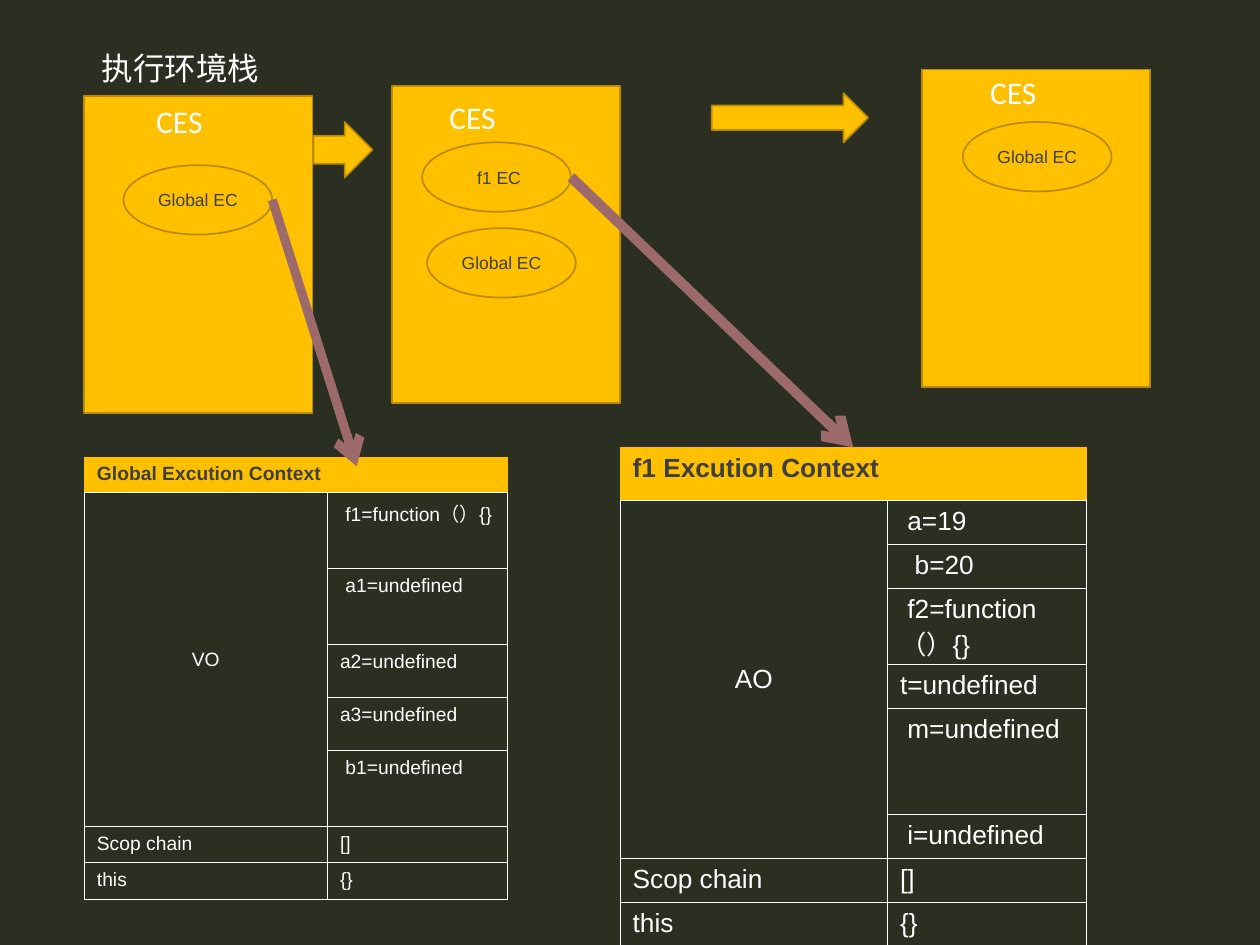
"""Build a slide showing how the execution context stack evolves."""
from dataclasses import dataclass

from lxml import etree
from pptx import Presentation
from pptx.dml.color import RGBColor
from pptx.enum.shapes import MSO_CONNECTOR, MSO_SHAPE
from pptx.enum.text import MSO_ANCHOR, PP_ALIGN
from pptx.oxml.ns import qn
from pptx.util import Cm, Pt

RECTANGLE, ELLIPSE, RIGHT_ARROW = MSO_SHAPE.RECTANGLE, MSO_SHAPE.OVAL, MSO_SHAPE.RIGHT_ARROW
STRAIGHT = MSO_CONNECTOR.STRAIGHT
LEFT, CENTER = PP_ALIGN.LEFT, PP_ALIGN.CENTER
TOP, MIDDLE = MSO_ANCHOR.TOP, MSO_ANCHOR.MIDDLE

BACKGROUND = RGBColor(0x2A, 0x2F, 0x21)
AMBER = RGBColor(0xFF, 0xC0, 0x00)
DARK_AMBER = RGBColor(0xBC, 0x8C, 0x00)
MAUVE = RGBColor(0x9C, 0x6A, 0x6A)
WHITE = RGBColor(0xFF, 0xFF, 0xFF)
CHARCOAL = RGBColor(0x3F, 0x3F, 0x3F)

STACK_SIZE = (4.6, 6.4)
CONTEXT_SIZE = (3, 1.4)
SPACE_WIDTH = 0.28


@dataclass
class Context:
    name: str
    x: float
    y: float
    indent: float = 0


@dataclass
class Stack:
    x: float
    y: float
    title_x: float
    title_y: float
    contexts: list[Context]


@dataclass
class Variable:
    text: str
    height: float
    spaces: int = 1


@dataclass
class ContextTable:
    title: str
    scope: str
    x: float
    y: float
    widths: tuple[float, float]
    header_height: float
    footer_height: float
    font_size: float
    variables: list[Variable]


@dataclass
class Link:
    source: Context
    end_x: float
    end_y: float
    width: float


GLOBAL_CONTEXT = Context("Global EC", 2.49, 3.33)
F1_CONTEXT = Context("f1 EC", 8.51, 2.87, 2.8)
STACKS = [
    Stack(1.7, 1.93, 2.9, 1.93, [GLOBAL_CONTEXT]),
    Stack(7.9, 1.73, 8.81, 1.85, [Context("Global EC", 8.61, 4.6), F1_CONTEXT]),
    Stack(18.59, 1.4, 19.71, 1.35, [Context("Global EC", 19.41, 2.46)]),
]
STEPS = [(6.32, 2.46, 1.19, 1.12), (14.35, 1.88, 3.15, 0.99)]
TABLES = [
    ContextTable("Global Excution Context", "VO", 1.7, 9.21, (4.9, 3.63), 0.72, 0.73, 11, [
        Variable("f1=function（）{}", 1.53),
        Variable("a1=undefined", 1.53),
        Variable("a2=undefined", 1.07, 0),
        Variable("a3=undefined", 1.07, 0),
        Variable("b1=undefined", 1.53),
    ]),
    ContextTable("f1 Excution Context", "AO", 12.5, 9.02, (5.39, 4.01), 1.07, 0.89, 15, [
        Variable("a=19", 0.89),
        Variable("b=20", 0.89, 2),
        Variable("f2=function（）{}", 1.5),
        Variable("t=undefined", 0.89, 0),
        Variable("m=undefined", 2.13),
        Variable("i=undefined", 0.89),
    ]),
]
LINKS = [Link(GLOBAL_CONTEXT, 7.19, 9.4, 5.25), Link(F1_CONTEXT, 17.2, 9.02, 5.75)]


def write(frame, text: str, *, size: float, color: RGBColor = WHITE, font: str = "Arial",
          bold: bool = False, align=LEFT, indent: float = 0) -> None:
    """Write one formatted paragraph, with its first-line indent in points."""
    frame.word_wrap = True
    paragraph = frame.paragraphs[0]
    paragraph.alignment = align
    if indent:
        paragraph._p.get_or_add_pPr().set("indent", str(int(Pt(indent))))
    run = paragraph.add_run()
    run.text = text
    run.font.name, run.font.size, run.font.bold = font, Pt(size), bold
    run.font.color.rgb = color


def draw_shape(slide, preset, x: float, y: float, width: float, height: float):
    """Draw an amber shape with a thin darker outline."""
    shape = slide.shapes.add_shape(preset, Cm(x), Cm(y), Cm(width), Cm(height))
    shape.shadow.inherit = False
    shape.fill.solid()
    shape.fill.fore_color.rgb = AMBER
    shape.line.color.rgb = DARK_AMBER
    shape.line.width = Pt(1)
    return shape


def draw_heading(slide, text: str, x: float, y: float, width: float) -> None:
    """Draw a white heading."""
    heading = slide.shapes.add_textbox(Cm(x), Cm(y), Cm(width), Cm(1.02))
    write(heading.text_frame, text, size=18, font="Calibri")


def draw_stack(slide, stack: Stack) -> None:
    """Draw a stack with its title and the contexts on it."""
    draw_shape(slide, RECTANGLE, stack.x, stack.y, *STACK_SIZE)
    draw_heading(slide, "CES", stack.title_x, stack.title_y, 4.19)
    for context in stack.contexts:
        ellipse = draw_shape(slide, ELLIPSE, context.x, context.y, *CONTEXT_SIZE)
        ellipse.text_frame.vertical_anchor = MIDDLE
        write(ellipse.text_frame, context.name, size=10, color=CHARCOAL, align=CENTER,
              indent=context.indent)


def set_borders(cell, header: bool) -> None:
    """Outline a cell in white, or a header cell in amber above its white base."""
    properties = cell._tc.get_or_add_tcPr()
    for side in ("lnL", "lnR", "lnT", "lnB"):
        amber = header and side != "lnB"
        border = etree.SubElement(properties, qn(f"a:{side}"), w=str(int(Pt(0.23 if amber else 0.45))))
        fill = etree.SubElement(border, qn("a:solidFill"))
        etree.SubElement(fill, qn("a:srgbClr"), val=str(AMBER if amber else WHITE))


def draw_table(slide, context: ContextTable) -> None:
    """Draw the table of one execution context."""
    footers = [("Scop chain", "[]"), ("this", "{}")]
    heights = [context.header_height, *(variable.height for variable in context.variables),
               *(context.footer_height for _ in footers)]
    table = slide.shapes.add_table(len(heights), 2, Cm(context.x), Cm(context.y),
                                   Cm(sum(context.widths)), Cm(sum(heights))).table
    table.first_row = table.horz_banding = False
    for column, width in zip(table.columns, context.widths):
        column.width = Cm(width)
    for index, (row, height) in enumerate(zip(table.rows, heights)):
        row.height = Cm(height)
        for cell in row.cells:
            set_borders(cell, index == 0)
            if index == 0:
                cell.fill.solid()
                cell.fill.fore_color.rgb = AMBER
            else:
                cell.fill.background()
            cell.vertical_anchor = TOP

    size = context.font_size
    title, scope = table.cell(0, 0), table.cell(1, 0)
    title.merge(table.cell(0, 1))
    write(title.text_frame, context.title, size=size, color=CHARCOAL, bold=True)
    scope.merge(table.cell(len(context.variables), 0))
    scope.vertical_anchor = MIDDLE
    write(scope.text_frame, context.scope, size=size, align=CENTER)
    for index, variable in enumerate(context.variables, 1):
        write(table.cell(index, 1).text_frame, variable.text, size=size,
              indent=variable.spaces * SPACE_WIDTH * size)
    for index, footer in enumerate(footers, len(context.variables) + 1):
        for column, text in enumerate(footer):
            write(table.cell(index, column).text_frame, text, size=size)


def draw_link(slide, link: Link) -> None:
    """Draw an arrow from the right of a context to its table."""
    width, height = CONTEXT_SIZE
    connector = slide.shapes.add_connector(
        STRAIGHT, Cm(link.source.x + width), Cm(link.source.y + height / 2),
        Cm(link.end_x), Cm(link.end_y))
    connector.line.color.rgb = MAUVE
    connector.line.width = Pt(link.width)
    etree.SubElement(connector.line._get_or_add_ln(), qn("a:tailEnd"), type="arrow")
    etree.SubElement(connector._element.spPr, qn("a:effectLst"))


def main() -> None:
    """Build and save the slide."""
    presentation = Presentation()
    presentation.slide_width, presentation.slide_height = Cm(25.4), Cm(19.05)
    slide = presentation.slides.add_slide(presentation.slide_layouts[6])
    slide.background.fill.solid()
    slide.background.fill.fore_color.rgb = BACKGROUND
    draw_heading(slide, "执行环境栈", 1.8, 0.86, 6.4)
    for stack in STACKS:
        draw_stack(slide, stack)
    for step in STEPS:
        draw_shape(slide, RIGHT_ARROW, *step)
    for context in TABLES:
        draw_table(slide, context)
    for link in LINKS:
        draw_link(slide, link)
    presentation.save("out.pptx")


if __name__ == "__main__":
    main()
